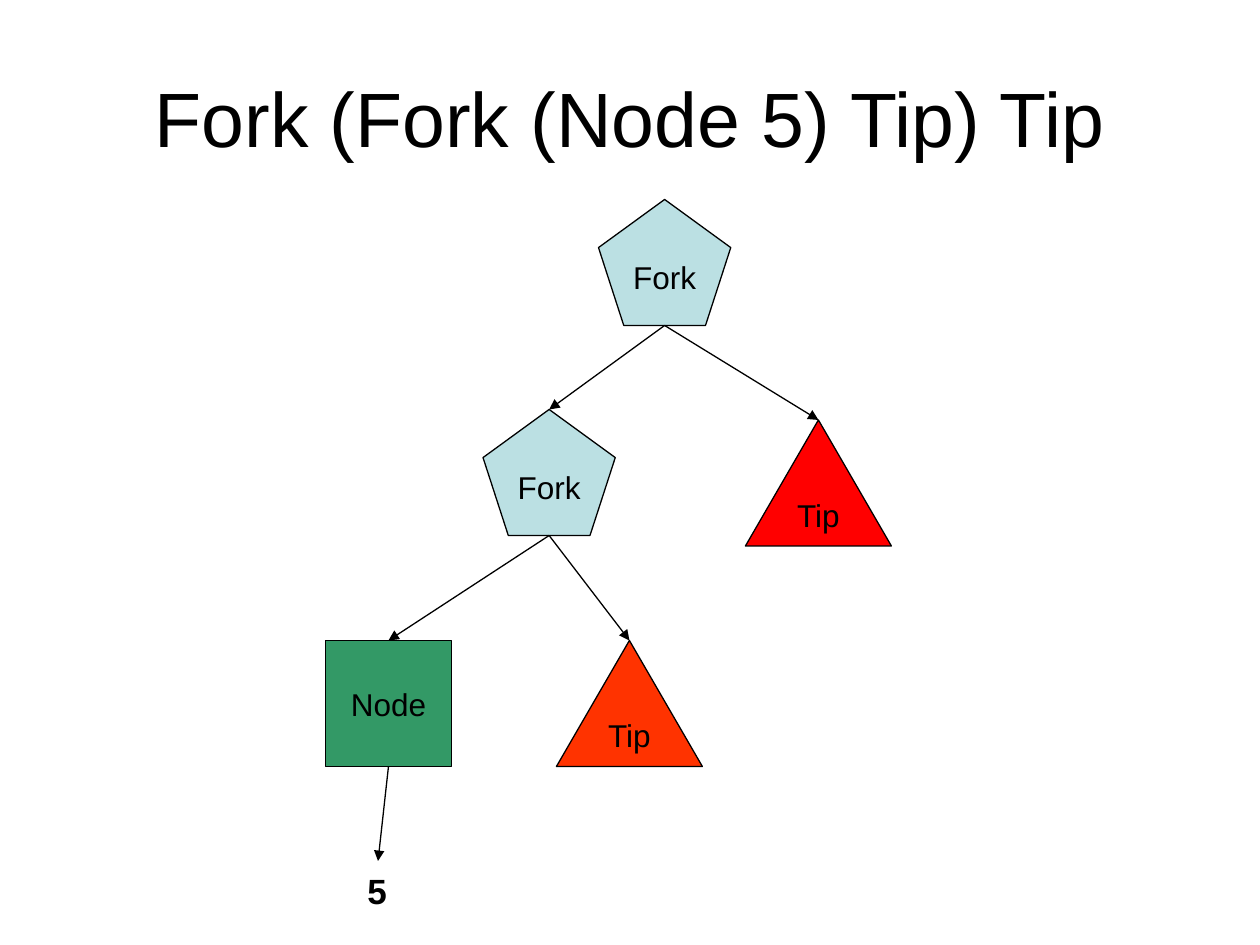
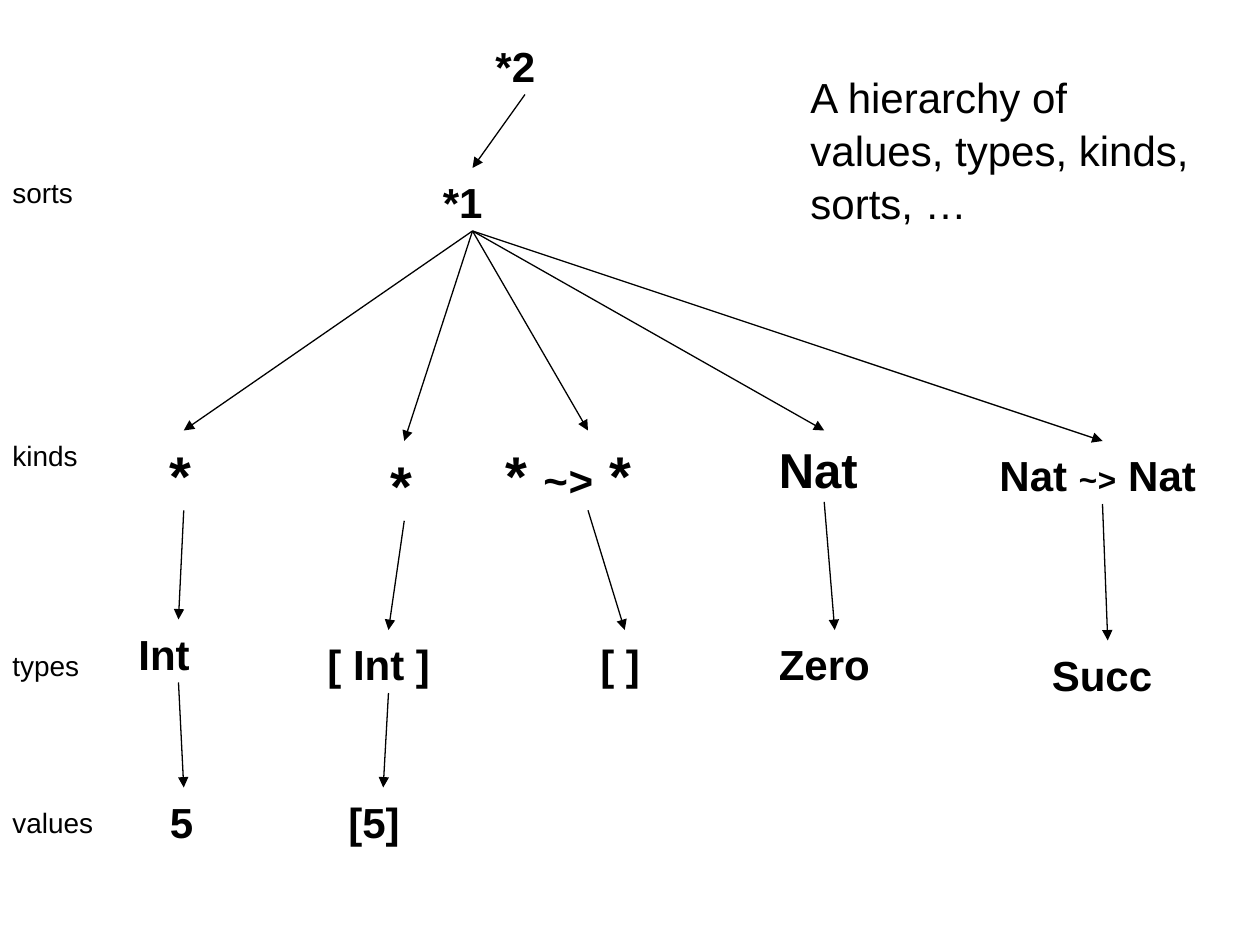
"""Build two slides: a constructor tree and a hierarchy of values, types, kinds and sorts."""
from dataclasses import dataclass

import lxml.etree
import pptx
import pptx.dml.color
import pptx.enum.shapes
import pptx.enum.text
import pptx.oxml.ns
import pptx.util

EMU_PER_PX = 7620
BLACK = pptx.dml.color.RGBColor(0x00, 0x00, 0x00)
PALE_BLUE = pptx.dml.color.RGBColor(0xBB, 0xE0, 0xE3)
GREEN = pptx.dml.color.RGBColor(0x33, 0x99, 0x66)
ORANGE = pptx.dml.color.RGBColor(0xFF, 0x33, 0x00)
RED = pptx.dml.color.RGBColor(0xFF, 0x00, 0x00)
SANS = "Arial"
MONO = "Courier New"
LINE_WIDTH = pptx.util.Pt(0.75)
INSET = 12
TOP, BOTTOM = 0, 2
Kind = pptx.enum.shapes.MSO_SHAPE
Anchor = pptx.enum.text.MSO_ANCHOR
Align = pptx.enum.text.PP_ALIGN


@dataclass(frozen=True)
class Constructor:
    """A filled shape in the tree."""
    text: str
    kind: Kind
    left: int
    top: int
    width: int
    fill: pptx.dml.color.RGBColor


@dataclass(frozen=True)
class Term:
    """A text box one line high unless a number of lines is given."""
    text: str
    left: int
    top: int
    width: int
    size: int = 24
    bold: bool = True
    lines: int = 1
    indent: int = 0
    arrow_size: int = 0


CONSTRUCTORS = {
    "root": Constructor("Fork", Kind.REGULAR_PENTAGON, 570, 190, 126, PALE_BLUE),
    "fork": Constructor("Fork", Kind.REGULAR_PENTAGON, 460, 390, 126, PALE_BLUE),
    "node": Constructor("Node", Kind.RECTANGLE, 310, 610, 120, GREEN),
    "inner tip": Constructor("Tip", Kind.ISOSCELES_TRIANGLE, 530, 610, 139, ORANGE),
    "outer tip": Constructor("Tip", Kind.ISOSCELES_TRIANGLE, 710, 400, 139, RED),
}
LEAVES = {"five": Term("5", 320, 820, 80, size=20, indent=18)}
TREE_LINKS = [("root", "fork"), ("root", "outer tip"), ("fork", "node"),
              ("fork", "inner tip"), ("node", "five")]

TERMS = {
    "sort 2": Term("*2", 460, 30, 80),
    "sort 1": Term("*1", 410, 160, 80),
    "int kind": Term("*", 150, 410, 50, size=32),
    "int": Term("Int", 120, 590, 100),
    "int value": Term("5", 150, 750, 50),
    "list kind": Term("*", 360, 420, 50, size=32),
    "list": Term("[ Int ]", 300, 600, 140),
    "list value": Term("[5]", 320, 750, 90),
    "maker kind": Term("* ~> *", 470, 410, 180, size=32, arrow_size=24),
    "maker": Term("[ ]", 560, 600, 70),
    "nat kind": Term("Nat", 730, 410, 110, size=28),
    "zero": Term("Zero", 730, 600, 130),
    "succ kind": Term("Nat ~> Nat", 940, 420, 220, arrow_size=18),
    "succ": Term("Succ", 990, 610, 130),
}
CHAINS = [
    ("int kind", "int", "int value"),
    ("list kind", "list", "list value"),
    ("maker kind", "maker"),
    ("nat kind", "zero"),
    ("succ kind", "succ"),
]
LEVELS = {"sorts": 160, "kinds": 410, "types": 610, "values": 760}
CAPTION = Term("A hierarchy of values, types, kinds, sorts, …", 760, 60, 400, bold=False, lines=3)


def px(length: int) -> pptx.util.Emu:
    """Turn pixels into EMU."""
    return pptx.util.Emu(length * EMU_PER_PX)


def write(para, text: str, *, size: int, bold: bool = False, font: str = SANS) -> None:
    """Append a formatted span to a paragraph."""
    span = para.add_run()
    span.text = text
    span.font.name = font
    span.font.size = pptx.util.Pt(size)
    span.font.bold = bold
    span.font.color.rgb = BLACK


def set_frame(frame, *, anchor: Anchor, wrap: bool, indent: int = 0) -> None:
    """Set the insets, anchor and wrapping of a text frame."""
    frame.auto_size = pptx.enum.text.MSO_AUTO_SIZE.NONE
    frame.word_wrap = wrap
    frame.vertical_anchor = anchor
    frame.margin_left = px(INSET + indent)
    frame.margin_right = px(INSET)
    frame.margin_top = frame.margin_bottom = px(INSET // 2)


def add_title(page, text: str) -> None:
    """Place and fill the title placeholder."""
    title = page.shapes.title
    title.left, title.top, title.width, title.height = px(60), px(36), px(1080), px(150)
    set_frame(title.text_frame, anchor=Anchor.MIDDLE, wrap=True)
    para = title.text_frame.paragraphs[0]
    para.alignment = Align.CENTER
    write(para, text, size=44)


def add_constructor(page, item: Constructor):
    """Draw a labelled tree shape."""
    shape = page.shapes.add_shape(item.kind, px(item.left), px(item.top), px(item.width), px(120))
    shape.shadow.inherit = False
    shape.fill.solid()
    shape.fill.fore_color.rgb = item.fill
    shape.line.color.rgb = BLACK
    shape.line.width = LINE_WIDTH
    set_frame(shape.text_frame, anchor=Anchor.MIDDLE, wrap=False)
    para = shape.text_frame.paragraphs[0]
    para.alignment = Align.CENTER
    write(para, item.text, size=18)
    return shape


def add_term(page, item: Term):
    """Draw a text box, setting any kind arrow in the monospaced font."""
    height = 2 * item.size * item.lines + INSET
    box = page.shapes.add_textbox(px(item.left), px(item.top), px(item.width), px(height))
    set_frame(box.text_frame, anchor=Anchor.TOP, wrap=True, indent=item.indent)
    para = box.text_frame.paragraphs[0]
    para.line_spacing = 1.05
    before, arrow, after = item.text.partition("~>")
    write(para, before, size=item.size, bold=item.bold)
    if arrow:
        write(para, arrow, size=item.arrow_size, bold=item.bold, font=MONO)
        write(para, after, size=item.size, bold=item.bold)
    return box


def is_rectangle(shape) -> bool:
    """Tell whether a shape's side middles are its connection sites."""
    return (shape.shape_type == pptx.enum.shapes.MSO_SHAPE_TYPE.TEXT_BOX
            or shape.auto_shape_type == Kind.RECTANGLE)


def add_arrow(page, parent, child) -> None:
    """Draw an arrow from the foot of one shape to the head of another."""
    line = page.shapes.add_connector(
        pptx.enum.shapes.MSO_CONNECTOR.STRAIGHT,
        parent.left + parent.width // 2, parent.top + parent.height,
        child.left + child.width // 2, child.top)
    if is_rectangle(parent):
        line.begin_connect(parent, BOTTOM)
    if is_rectangle(child):
        line.end_connect(child, TOP)
    line.line.color.rgb = BLACK
    line.line.width = LINE_WIDTH
    outline = line.line._get_or_add_ln()
    lxml.etree.SubElement(outline, pptx.oxml.ns.qn("a:tailEnd"), type="triangle")
    lxml.etree.SubElement(line._element.spPr, pptx.oxml.ns.qn("a:effectLst"))


def build_tree(deck) -> None:
    """Build the constructor tree slide."""
    page = deck.slides.add_slide(deck.slide_layouts[5])
    add_title(page, "Fork (Fork (Node 5) Tip) Tip")
    shapes = {name: add_constructor(page, item) for name, item in CONSTRUCTORS.items()}
    shapes |= {name: add_term(page, item) for name, item in LEAVES.items()}
    for parent, child in TREE_LINKS:
        add_arrow(page, shapes[parent], shapes[child])


def build_hierarchy(deck) -> None:
    """Build the slide of values, types, kinds and sorts."""
    page = deck.slides.add_slide(deck.slide_layouts[6])
    boxes = {name: add_term(page, item) for name, item in TERMS.items()}
    add_arrow(page, boxes["sort 2"], boxes["sort 1"])
    for chain in CHAINS:
        for parent, child in zip(("sort 1",) + chain, chain):
            add_arrow(page, boxes[parent], boxes[child])
    add_term(page, CAPTION)
    for level, top in LEVELS.items():
        add_term(page, Term(level, 0, top, 200, size=16, bold=False))


def main() -> None:
    """Build and save the deck."""
    deck = pptx.Presentation()
    deck.slide_width, deck.slide_height = px(1200), px(900)
    build_tree(deck)
    build_hierarchy(deck)
    deck.save("out.pptx")


if __name__ == "__main__":
    main()
